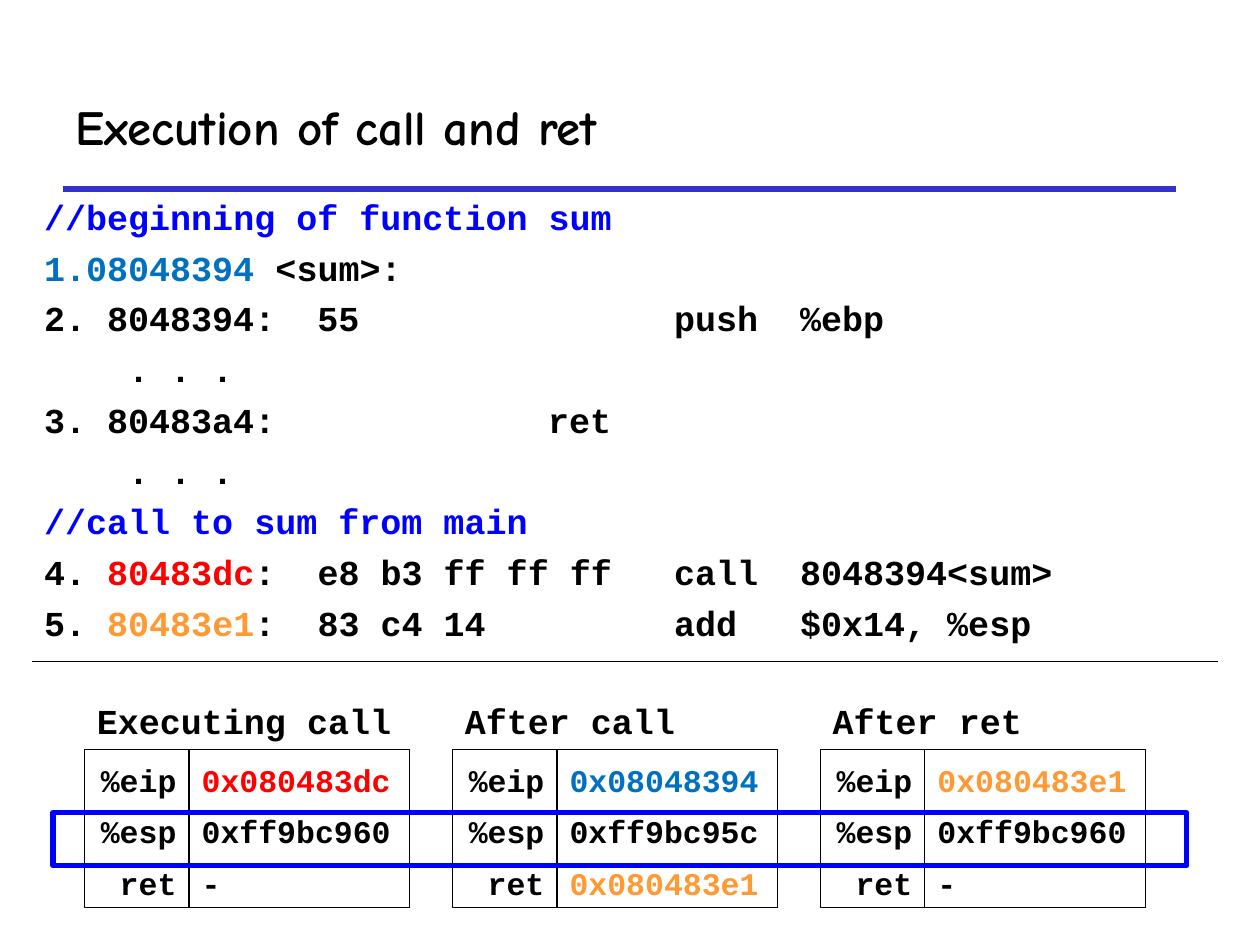
from dataclasses import dataclass

from lxml.etree import SubElement
from pptx import Presentation
from pptx.dml.color import RGBColor
from pptx.enum.shapes import MSO_CONNECTOR, MSO_SHAPE
from pptx.enum.text import MSO_ANCHOR, MSO_AUTO_SIZE, PP_ALIGN
from pptx.oxml.ns import qn
from pptx.util import Inches, Pt


@dataclass(frozen=True)
class Theme:
    black: str = "000000"
    white: str = "FFFFFF"
    rule: str = "3333CC"
    blue: str = "0000FF"
    entry: str = "0070C0"
    caller: str = "FF0000"
    resume: str = "FF9933"
    title_font: str = "Comic Neue"
    code_font: str = "Courier New"
    title_size: int = 28
    code_size: int = 20
    cell_size: int = 18
    thin: float = 0.75
    thick: float = 3


THEME = Theme()

# Each code line: its number (None for an unnumbered line) and its coloured runs
CODE = [
    (None, [("//beginning of function sum", THEME.blue)]),
    (1, [("08048394", THEME.entry), (" <sum>:", THEME.black)]),
    (2, [(" 8048394:  55\t\t\tpush\t%ebp", THEME.black)]),
    (None, [("    . . .", THEME.black)]),
    (3, [(" 80483a4:\t\t\tret", THEME.black)]),
    (None, [("    . . .", THEME.black)]),
    (None, [("//call to sum from main", THEME.blue)]),
    (4, [(" ", THEME.black), ("80483dc", THEME.caller),
         (":  e8 b3 ff ff ff \tcall\t8048394<sum>", THEME.black)]),
    (5, [(" ", THEME.black), ("80483e1", THEME.resume),
         (":  83 c4 14\t\tadd\t$0x14, %esp", THEME.black)]),
]

REGISTERS = ["%eip", "%esp", "ret"]
STATES = [
    ("Executing call", [("0x080483dc", THEME.caller),
                        ("0xff9bc960", THEME.black), ("-", THEME.black)]),
    ("After call", [("0x08048394", THEME.entry),
                    ("0xff9bc95c", THEME.black), ("0x080483e1", THEME.resume)]),
    ("After ret", [("0x080483e1", THEME.resume),
                   ("0xff9bc960", THEME.black), ("-", THEME.black)]),
]


def add_run(paragraph, text, size, color=THEME.black, font=THEME.code_font):
    run = paragraph.add_run()
    run.text = text
    run.font.name = font
    run.font.size = Pt(size)
    run.font.bold = True
    run.font.color.rgb = RGBColor.from_string(color)


def add_line(slide, x1, y1, x2, y2, color=THEME.black, width=THEME.thin):
    line = slide.shapes.add_connector(
        MSO_CONNECTOR.STRAIGHT, Inches(x1), Inches(y1), Inches(x2), Inches(y2))
    line.line.color.rgb = RGBColor.from_string(color)
    line.line.width = Pt(width)
    SubElement(line._element.spPr, qn("a:effectLst"))


def add_frame(slide, left, top, width, height, color, weight):
    """Draw an unfilled rectangle."""
    frame = slide.shapes.add_shape(
        MSO_SHAPE.RECTANGLE, Inches(left), Inches(top), Inches(width), Inches(height))
    frame.shadow.inherit = False
    frame.fill.background()
    frame.line.color.rgb = RGBColor.from_string(color)
    frame.line.width = Pt(weight)


def place(shape, left, top, width, height):
    shape.left, shape.top = Inches(left), Inches(top)
    shape.width, shape.height = Inches(width), Inches(height)


def set_numbering(paragraph, number, color):
    """Set the line number and one-inch tab stops, with no indent."""
    props = paragraph._p.get_or_add_pPr()
    props.set("marL", "0")
    props.set("indent", "0")
    if number is None:
        SubElement(props, qn("a:buNone"))
    else:
        SubElement(SubElement(props, qn("a:buClr")), qn("a:srgbClr"), val=color)
        SubElement(props, qn("a:buFont"), typeface=THEME.code_font)
        SubElement(props, qn("a:buAutoNum"), type="arabicPeriod", startAt=str(number))
    stops = SubElement(props, qn("a:tabLst"))
    for inch in range(1, 9):
        SubElement(stops, qn("a:tab"), pos=str(Inches(inch)), algn="l")


def add_heading(slide, left, top, width, height):
    add_line(slide, left, top + height, left + width, top + height,
             THEME.rule, THEME.thick)
    title = slide.shapes.title
    place(title, left, top, width, height)
    title.text_frame.vertical_anchor = MSO_ANCHOR.MIDDLE
    paragraph = title.text_frame.paragraphs[0]
    paragraph.alignment = PP_ALIGN.LEFT
    add_run(paragraph, "Execution of call and ret", THEME.title_size,
            font=THEME.title_font)


def add_code(slide, left, top, width, height):
    listing = slide.placeholders[1]
    place(listing, left, top, width, height)
    frame = listing.text_frame
    frame.auto_size = MSO_AUTO_SIZE.NONE
    for index, (number, runs) in enumerate(CODE):
        paragraph = frame.add_paragraph() if index else frame.paragraphs[0]
        paragraph.space_before = Pt(5 if index else 0)
        set_numbering(paragraph, number, runs[0][1])
        for text, color in runs:
            add_run(paragraph, text, THEME.code_size, color)


def add_state(slide, left, top, width, height, caption, values):
    """Place a caption above a framed table of register values."""
    label = slide.shapes.add_textbox(
        Inches(left), Inches(top - 0.45), Inches(width), Inches(0.44))
    label.text_frame.word_wrap = True
    label.text_frame.auto_size = MSO_AUTO_SIZE.SHAPE_TO_FIT_TEXT
    add_run(label.text_frame.paragraphs[0], caption, THEME.code_size)

    name_width = 0.83
    row_height = 0.41
    table = slide.shapes.add_table(
        len(REGISTERS), 2, Inches(left), Inches(top + 0.08),
        Inches(width), Inches(row_height * len(REGISTERS))).table
    table.first_row = table.horz_banding = False
    table.columns[0].width = Inches(name_width)
    table.columns[1].width = Inches(width - name_width)
    for row, (register, (value, color)) in enumerate(zip(REGISTERS, values)):
        table.rows[row].height = Inches(row_height)
        entries = [(register, THEME.black, PP_ALIGN.RIGHT),
                   (value, color, PP_ALIGN.LEFT)]
        for column, (text, ink, alignment) in enumerate(entries):
            cell = table.cell(row, column)
            cell.fill.solid()
            cell.fill.fore_color.rgb = RGBColor.from_string(THEME.white)
            paragraph = cell.text_frame.paragraphs[0]
            paragraph.alignment = alignment
            add_run(paragraph, text, THEME.cell_size, ink)

    add_frame(slide, left, top, width, height, THEME.black, THEME.thin)
    for offset in (0.5, 0.92):
        add_line(slide, left, top + offset, left + width, top + offset)
    add_line(slide, left + name_width, top, left + name_width, top + height)


def main():
    deck = Presentation()
    deck.slide_width, deck.slide_height = Inches(10), Inches(7.5)
    slide = deck.slides.add_slide(deck.slide_layouts[1])
    add_heading(slide, 0.5, 0.5, 8.83, 1)
    add_code(slide, 0.25, 1.5, 8.83, 3.83)
    for index, (caption, values) in enumerate(STATES):
        add_state(slide, 0.67 + index * 2.92, 5.95, 2.58, 1.25, caption, values)
    add_line(slide, 0.25, 5.25, 9.67, 5.25)
    add_frame(slide, 0.42, 6.45, 9, 0.42, THEME.blue, THEME.thick)
    deck.save("out.pptx")


if __name__ == "__main__":
    main()
